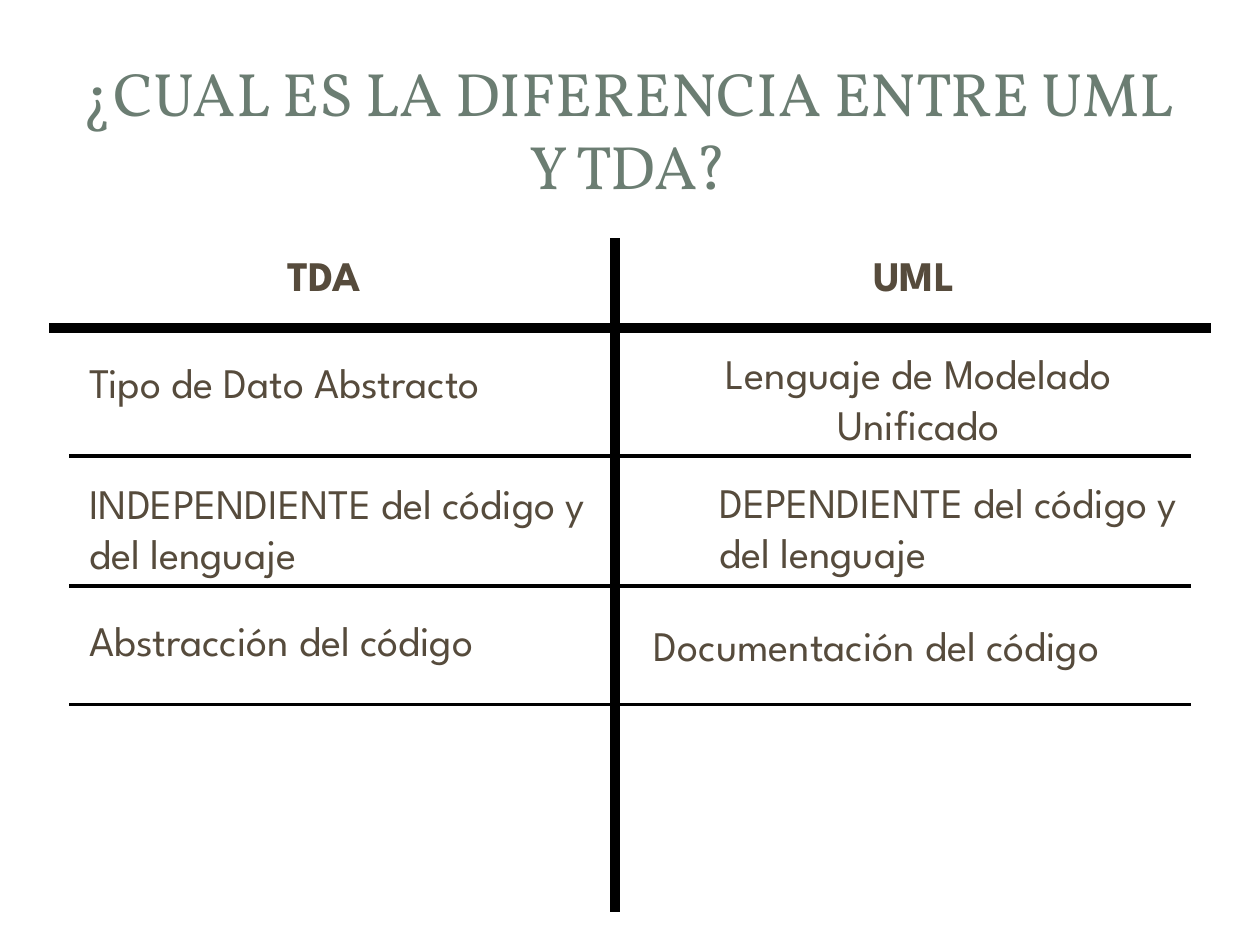
"""Build a slide comparing TDA with UML in a two-column chart."""
from dataclasses import dataclass

import lxml.etree
import pptx
import pptx.dml.color
import pptx.enum.shapes
import pptx.enum.text
import pptx.oxml.ns
import pptx.slide
import pptx.util

Inches = pptx.util.Inches
Pt = pptx.util.Pt
LEFT = pptx.enum.text.PP_ALIGN.LEFT
CENTER = pptx.enum.text.PP_ALIGN.CENTER
TOP = pptx.enum.text.MSO_ANCHOR.TOP
MIDDLE = pptx.enum.text.MSO_ANCHOR.MIDDLE
BROWN = "564B3C"
GREEN = "6B7D72"
BLACK = "000000"


@dataclass(frozen=True)
class Label:
    """A text with its place and style."""
    words: str
    left: float
    top: float
    width: float = 3.94
    height: float = 0.78
    size: float = 24
    font: str = "League Spartan"
    color: str = BROWN
    bold: bool = False
    align: pptx.enum.text.PP_ALIGN = LEFT
    anchor: pptx.enum.text.MSO_ANCHOR = TOP
    space_before: float = 0


@dataclass(frozen=True)
class Rule:
    """A straight line between two points."""
    x1: float
    y1: float
    x2: float
    y2: float
    weight: float


def rgb(value: str) -> pptx.dml.color.RGBColor:
    """Turn a hex string into a colour."""
    return pptx.dml.color.RGBColor.from_string(value)


def draw_label(slide: pptx.slide.Slide, label: Label) -> None:
    """Add a label as a text box without margins."""
    box = slide.shapes.add_textbox(Inches(label.left), Inches(label.top),
                                   Inches(label.width), Inches(label.height))
    frame = box.text_frame
    frame.word_wrap = True
    frame.vertical_anchor = label.anchor
    frame.margin_left = frame.margin_right = Inches(0)
    frame.margin_top = frame.margin_bottom = Inches(0)
    paragraph = frame.paragraphs[0]
    paragraph.alignment = label.align
    paragraph.space_before = Pt(label.space_before)
    run = paragraph.add_run()
    run.text = label.words
    run.font.name = label.font
    run.font.size = Pt(label.size)
    run.font.bold = label.bold
    run.font.color.rgb = rgb(label.color)


def draw_rule(slide: pptx.slide.Slide, rule: Rule) -> None:
    """Add a rule as a black connector without shadow."""
    line = slide.shapes.add_connector(
        pptx.enum.shapes.MSO_CONNECTOR.STRAIGHT,
        Inches(rule.x1), Inches(rule.y1), Inches(rule.x2), Inches(rule.y2))
    line.line.color.rgb = rgb(BLACK)
    line.line.width = Pt(rule.weight)
    properties = line._element.spPr
    lxml.etree.SubElement(properties, pptx.oxml.ns.qn("a:effectLst"))


TITLE = Label("¿CUAL ES LA DIFERENCIA ENTRE UML Y TDA?", 0.47, 0.45, 9.03, 1.14,
              size=35, font="Vollkorn", color=GREEN, align=CENTER, anchor=MIDDLE)
HEADINGS = [
    Label("TDA", 2.28, 1.98, 3.54, 0.39, bold=True),
    Label("UML", 6.93, 1.98, 2.52, 0.39, bold=True),
]
COMPARISONS = [
    Label("Tipo de Dato Abstracto", 0.71, 2.83),
    Label("Lenguaje de Modelado Unificado", 5.32, 2.76, align=CENTER, space_before=4.8),
    Label("INDEPENDIENTE del código y del lenguaje", 0.71, 3.79),
    Label("DEPENDIENTE del código y del lenguaje", 5.71, 3.78),
    Label("Abstracción del código", 0.71, 4.88),
    Label("Documentación del código", 5.19, 4.92, 4.49),
]
AXES = [Rule(4.88, 1.89, 4.88, 7.24, 5.67), Rule(0.39, 2.6, 9.61, 2.6, 5.67)]
ROW_RULES = [Rule(0.55, y, 9.45, y, 0) for y in (3.62, 4.65, 5.59)]


def main() -> None:
    """Build and save the presentation."""
    deck = pptx.Presentation()
    deck.slide_width = Inches(10)
    deck.slide_height = Inches(7.5)
    slide = deck.slides.add_slide(deck.slide_layouts[6])
    for rule in AXES + ROW_RULES:
        draw_rule(slide, rule)
    for label in [TITLE, *HEADINGS, *COMPARISONS]:
        draw_label(slide, label)
    deck.save("out.pptx")


main()
